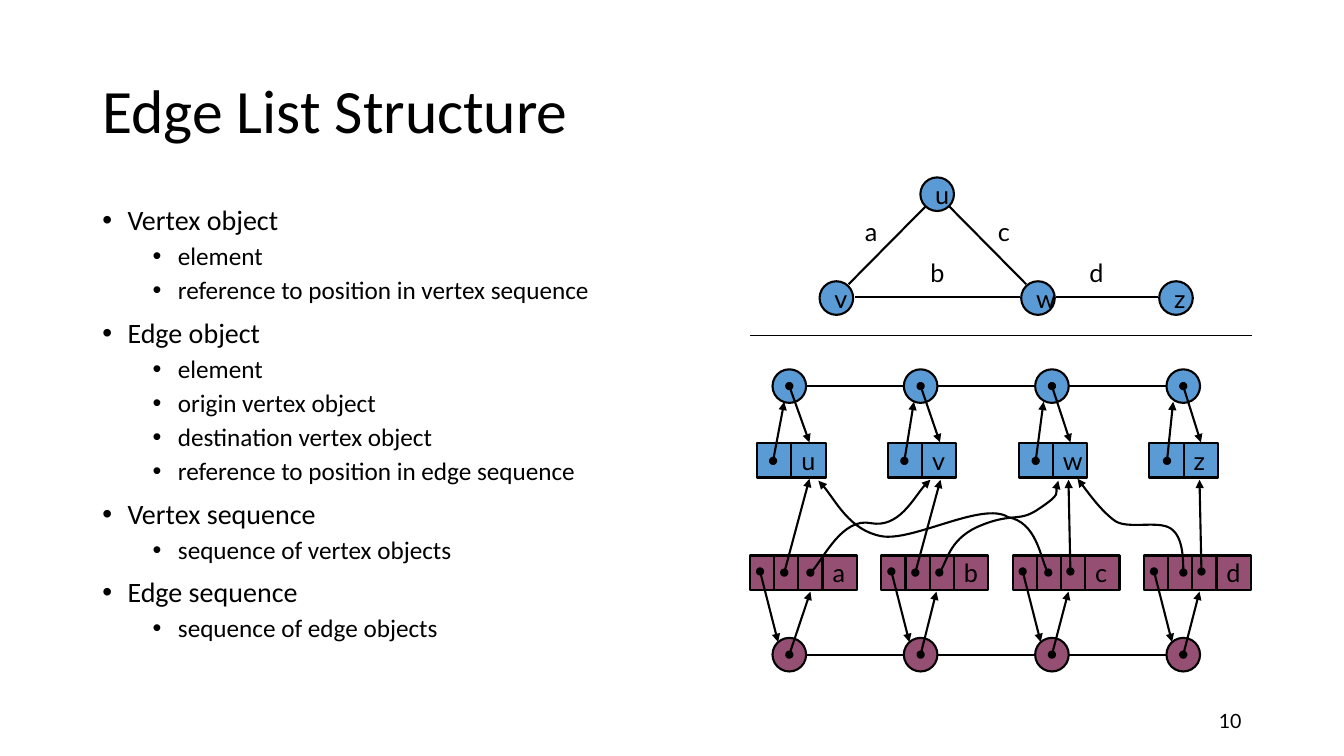
from lxml.etree import SubElement
from pptx import Presentation
from pptx.dml.color import RGBColor
from pptx.enum.shapes import MSO_CONNECTOR as Connector, MSO_SHAPE as Shape
from pptx.enum.text import MSO_ANCHOR as Anchor, PP_ALIGN as Align
from pptx.oxml.ns import qn
from pptx.util import Pt

BLACK = RGBColor(0x00, 0x00, 0x00)
BLUE = RGBColor(0x5B, 0x9B, 0xD5)
PLUM = RGBColor(0x95, 0x4F, 0x72)

PITCH = 93.8  # distance between the columns of the list diagram
CENTER = 563.8  # centre of the first column
NODE = 24  # diameter of every circle
BOX = 24.5  # side of a square cell
SLOT = 17.3  # width of a reference cell
VERTEX_ROW, EDGE_ROW = 275.8, 467.6  # centre heights of the sequences

OUTLINE = [
    ("Vertex object", ["element", "reference to position in vertex sequence"]),
    ("Edge object", ["element", "origin vertex object", "destination vertex object",
                     "reference to position in edge sequence"]),
    ("Vertex sequence", ["sequence of vertex objects"]),
    ("Edge sequence", ["sequence of edge objects"]),
]
GRAPH_VERTICES = {"u": (669.4, 138.7), "v": (597.4, 212.9),
                  "w": (741.4, 212.9), "z": (840, 212.9)}
GRAPH_EDGES = [(678.2, 147.6, 733, 203), (661, 147.6, 606.2, 203),
               (728.6, 212.4, 610.6, 212.4), (827.3, 212.4, 754.6, 212.4)]
EDGE_LABELS = {"a": (610.6, 151.2), "c": (705.6, 151.2),
               "b": (657.4, 180), "d": (771.1, 180)}
EDGE_ARROW_ENDS = (578.9, 668.9, 763.2, 856.8)
STRAIGHT_REFERENCES = [(560.2, 409, 578.2, 342), (653.8, 409, 671.8, 342.7),
                       (764.6, 408.2, 763.2, 342.7), (858.2, 408.2, 856.8, 342.7)]
# Bezier points: a start, then two controls and an end for each segment
CURVED_REFERENCES = [
    [(578.9, 409), (586.1, 403.2), (601.9, 369.4), (622.1, 373.7),
     (642.2, 377.3), (655.9, 349.2), (664.6, 342.7)],
    [(671, 409), (676.1, 403.2), (679, 383.8), (701.3, 375.1),
     (724.3, 365.8), (727.9, 373.7), (743, 362.9),
     (758.2, 352.8), (753.1, 347.8), (756, 343.4)],
    [(748.8, 409), (743.8, 402.5), (740.2, 373), (720, 369.4),
     (702, 357.8), (651.6, 387.4), (629.3, 383),
     (607, 378.7), (594, 352.1), (584.6, 343.4)],
    [(845.3, 409), (845.3, 409), (845.3, 383), (835.9, 377.3),
     (826.6, 371.5), (804.2, 378.7), (795.6, 371.5),
     (786.2, 364.3), (774.7, 348.5), (769.7, 342)],
]


def write(paragraph, text, size=18, font="Lato", align=Align.LEFT):
    paragraph.alignment = align
    run = paragraph.add_run()
    run.text = text
    run.font.size = Pt(size)
    run.font.name = font
    run.font.color.rgb = BLACK


def add_text(slide, left, top, width, height, text="", wrap=True, anchor=Anchor.TOP, **style):
    box = slide.shapes.add_textbox(Pt(left), Pt(top), Pt(width), Pt(height))
    frame = box.text_frame
    frame.word_wrap = wrap
    frame.vertical_anchor = anchor
    if text:
        write(frame.paragraphs[0], text, **style)
    return frame


def add_bullet(paragraph, text, level):
    paragraph.level = level
    paragraph.line_spacing = 0.9
    paragraph.space_before = Pt(5 if level else 10)
    properties = paragraph._p.get_or_add_pPr()
    properties.set("marL", str(Pt(54 if level else 18)))
    properties.set("indent", str(Pt(-18)))
    SubElement(properties, qn("a:buFont"), typeface="Arial")
    SubElement(properties, qn("a:buChar"), char="•")
    write(paragraph, text, size=18 if level else 20, font="Calibri")


def add_cell(slide, kind, left, top, width, height, color, text=""):
    shape = slide.shapes.add_shape(kind, Pt(left), Pt(top), Pt(width), Pt(height))
    shape.shadow.inherit = False
    shape.fill.solid()
    shape.fill.fore_color.rgb = color
    shape.line.color.rgb = BLACK
    shape.line.width = Pt(1.5)
    if text:
        shape.text_frame.word_wrap = False
        shape.text_frame.vertical_anchor = Anchor.MIDDLE
        write(shape.text_frame.paragraphs[0], text)


def add_node(slide, x, y, color, text=""):
    add_cell(slide, Shape.OVAL, x - NODE / 2, y - NODE / 2, NODE, NODE, color, text)


def style_line(shape, width=1.5, arrow=False):
    shape.line.color.rgb = BLACK
    shape.line.width = Pt(width)
    if arrow:
        line = shape.element.spPr.find(qn("a:ln"))
        SubElement(line, qn("a:headEnd"), type="oval")
        SubElement(line, qn("a:tailEnd"), type="triangle")


def add_line(slide, x1, y1, x2, y2, **style):
    line = slide.shapes.add_connector(Connector.STRAIGHT, Pt(x1), Pt(y1), Pt(x2), Pt(y2))
    style_line(line, **style)
    SubElement(line.element.spPr, qn("a:effectLst"))


def add_curve(slide, points):
    start, *others = [(Pt(x), Pt(y)) for x, y in points]
    builder = slide.shapes.build_freeform(*start, scale=1.0)
    builder.add_line_segments(others, close=False)
    shape = builder.convert_to_shape()
    shape.shadow.inherit = False
    shape.fill.background()
    style_line(shape, arrow=True)
    # Turn every three straight segments into one Bezier segment
    segments = shape.element.findall(".//" + qn("a:lnTo"))
    outline = segments[0].getparent()
    for index, segment in enumerate(segments):
        if index % 3 == 0:
            bezier = SubElement(outline, qn("a:cubicBezTo"))
        bezier.append(segment[0])
        outline.remove(segment)


def add_outline(slide):
    frame = add_text(slide, 66, 144, 408, 342.7)
    entries = [(text, level) for heading, details in OUTLINE
               for text, level in [(heading, 0)] + [(detail, 1) for detail in details]]
    for index, (text, level) in enumerate(entries):
        paragraph = frame.add_paragraph() if index else frame.paragraphs[0]
        add_bullet(paragraph, text, level)


def add_graph(slide):
    for ends in GRAPH_EDGES:
        add_line(slide, *ends)
    for name, (x, y) in GRAPH_VERTICES.items():
        add_node(slide, x, y, BLUE, name)
    for name, (left, top) in EDGE_LABELS.items():
        add_text(slide, left, top, 24, 29, name, wrap=False)


def add_lists(slide):
    # Sequences
    for y, color in ((VERTEX_ROW, BLUE), (EDGE_ROW, PLUM)):
        add_line(slide, CENTER + 3 * PITCH - NODE / 2, y, CENTER + NODE / 2, y)
        for column in range(4):
            add_node(slide, CENTER + column * PITCH, y, color)

    # Vertex and edge objects
    for column, (vertex, edge) in enumerate(zip("uvwz", "abcd")):
        left = 540.8 + column * 93.4
        add_cell(slide, Shape.RECTANGLE, left, 316.6, BOX, BOX, BLUE)
        add_cell(slide, Shape.RECTANGLE, left + BOX, 316.6, BOX, BOX, BLUE, vertex)
        left = 535.7 + column * PITCH
        for slot in range(3):
            add_cell(slide, Shape.RECTANGLE, left + slot * SLOT, 396.8, SLOT, BOX, PLUM)
        add_cell(slide, Shape.RECTANGLE, left + 3 * SLOT, 396.8, BOX, BOX, PLUM, edge)

    # References between sequences and objects
    for column, edge_end in enumerate(EDGE_ARROW_ENDS):
        shift = column * PITCH
        arrows = [
            (CENTER + shift, VERTEX_ROW, 578.2 + column * 93.2, 316),
            (552.2 + shift, 329.2, 560.2 + column * 92.6, 287),
            (CENTER + shift, EDGE_ROW, edge_end, 422.6),
            (542.9 + shift, 408.2, 555.8 + shift, 458.6),
        ]
        for ends in arrows:
            add_line(slide, *ends, arrow=True)

    # References from edges to their end vertices
    for ends in STRAIGHT_REFERENCES:
        add_line(slide, *ends, arrow=True)
    for points in CURVED_REFERENCES:
        add_curve(slide, points)


def main():
    presentation = Presentation()
    presentation.slide_width, presentation.slide_height = Pt(960), Pt(540)
    slide = presentation.slides.add_slide(presentation.slide_layouts[6])
    title = add_text(slide, 66, 28.8, 828, 104.4, "Edge List Structure",
                     anchor=Anchor.MIDDLE, size=44, font="Calibri")
    title.paragraphs[0].line_spacing = 0.9
    add_outline(slide)
    add_graph(slide)
    add_line(slide, 535.7, 240, 894.2, 240, width=0.75)
    add_lists(slide)
    add_text(slide, 678, 500.4, 216, 28.8, "10", anchor=Anchor.MIDDLE,
             size=14, align=Align.RIGHT)
    presentation.save("out.pptx")


if __name__ == "__main__":
    main()
